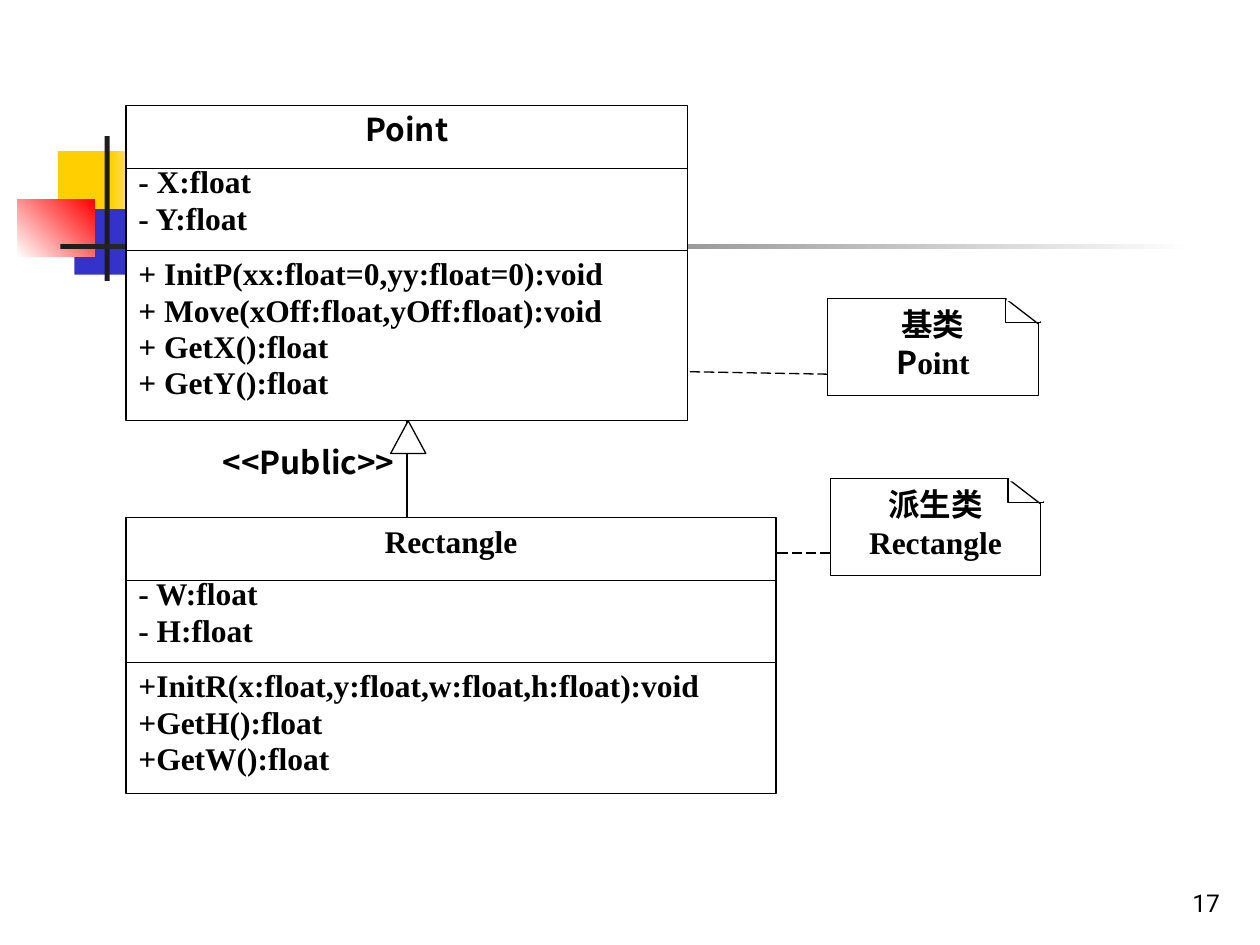
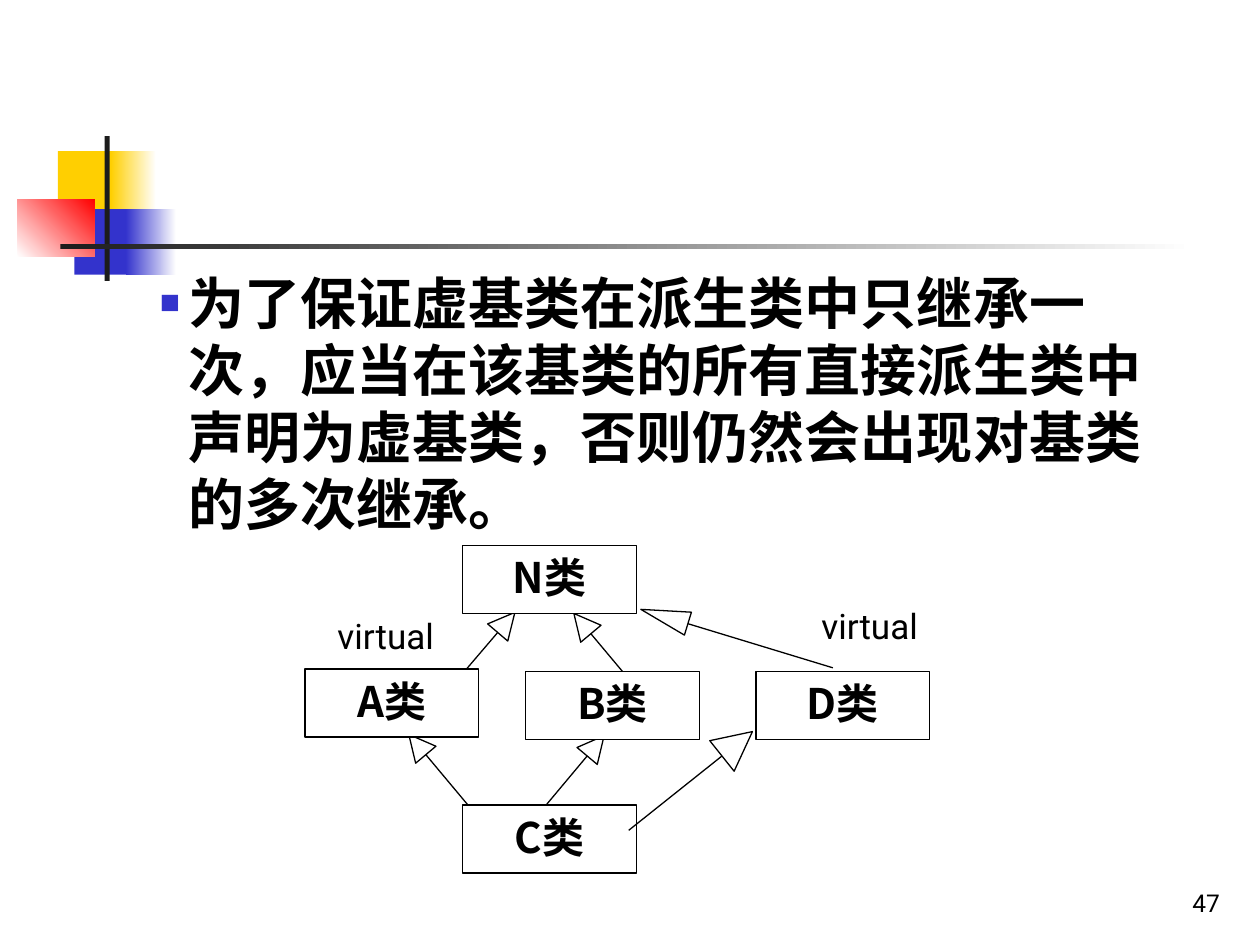
"""Build two slides on class inheritance: a UML diagram and virtual base classes."""
import math

from lxml import etree
from pptx import Presentation
from pptx import util as u
from pptx.dml.color import RGBColor
from pptx.enum import dml, shapes, text
from pptx.oxml.ns import qn

BLACK = RGBColor(0x00, 0x00, 0x00)
WHITE = RGBColor(0xFF, 0xFF, 0xFF)
YELLOW = RGBColor(0xFF, 0xCF, 0x01)
BLUE = RGBColor(0x33, 0x33, 0xCC)
RED = RGBColor(0xFF, 0x00, 0x00)
CHARCOAL = RGBColor(0x1C, 0x1C, 0x1C)
HEI, ROBOTO, TIMES = "Noto Sans CJK SC", "Roboto", "Times New Roman"
ALIGN = text.PP_ALIGN
RECT = shapes.MSO_SHAPE.RECTANGLE
TRIANGLE = shapes.MSO_SHAPE.ISOSCELES_TRIANGLE


def write(shape, lines, size=18, font=HEI, bold=True, align=ALIGN.LEFT,
          spacing=None, anchor=text.MSO_ANCHOR.TOP, inset=0.05):
    """Fill a shape with paragraphs; a line is a string or a list of (words, font)."""
    frame = shape.text_frame
    frame.word_wrap = True
    frame.vertical_anchor = anchor
    frame.margin_left = frame.margin_right = u.Inches(0.1)
    frame.margin_top = frame.margin_bottom = u.Inches(inset)
    for index, line in enumerate(lines):
        para = frame.paragraphs[0] if index == 0 else frame.add_paragraph()
        para.alignment = align
        if spacing:
            para.line_spacing = spacing
        for words, face in [(line, font)] if isinstance(line, str) else line:
            span = para.add_run()
            span.text = words
            span.font.name = face
            span.font.size = u.Pt(size)
            span.font.bold = bold
            span.font.color.rgb = BLACK
            east = etree.SubElement(span.font._element, qn("a:ea"))
            east.set("typeface", HEI if face == TIMES else face)
    return frame


class Sketch:
    """Hold the deck, its style and the current page."""

    def __init__(self):
        """Start an empty 10 by 7.5 inch deck."""
        self.deck = Presentation()
        self.deck.slide_width, self.deck.slide_height = u.Inches(10), u.Inches(7.5)
        self.page = None

    def new_page(self, number):
        """Add a page with the shared ornament and its number."""
        self.page = self.deck.slides.add_slide(self.deck.slide_layouts[6])
        self.block(0.46, 1.2, 0.48, 0.52, YELLOW)
        self.block(0.88, 1.2, 0.36, 0.52, YELLOW, WHITE)
        self.block(0.59, 1.66, 0.46, 0.52, BLUE)
        self.block(1, 1.66, 0.4, 0.52, BLUE, WHITE)
        self.block(0.14, 1.58, 0.61, 0.46, WHITE, RED, angle=45)
        self.block(0.83, 1.08, 0.04, 1.15, CHARCOAL)
        self.block(0.48, 1.94, 9, 0.04, CHARCOAL, WHITE)
        self.label(7.7, 6.83, 2.08, 0.5, [str(number)], size=14, font=ROBOTO,
                   bold=False, align=ALIGN.RIGHT, anchor=text.MSO_ANCHOR.BOTTOM)

    def block(self, left, top, width, height, color, fade=None, angle=0):
        """Draw a borderless rectangle, plain or fading to a second colour."""
        box = self.page.shapes.add_shape(RECT, *map(u.Inches, (left, top, width, height)))
        box.shadow.inherit = False
        box.line.fill.background()
        if fade is None:
            box.fill.solid()
            box.fill.fore_color.rgb = color
            return
        box.fill.gradient()
        box.fill.gradient_angle = angle
        for stop, shade, place in zip(box.fill.gradient_stops, (color, fade), (0, 1)):
            stop.color.rgb = shade
            stop.position = place

    def box(self, left, top, width, height, kind=RECT):
        """Draw a white preset shape with a thin black border."""
        box = self.page.shapes.add_shape(kind, *map(u.Inches, (left, top, width, height)))
        box.shadow.inherit = False
        box.fill.solid()
        box.fill.fore_color.rgb = WHITE
        box.line.color.rgb = BLACK
        box.line.width = u.Pt(0.75)
        return box

    def label(self, left, top, width, height, lines, **style):
        """Place a text box and return its frame."""
        box = self.page.shapes.add_textbox(*map(u.Inches, (left, top, width, height)))
        return write(box, lines, **style)

    def line(self, x1, y1, x2, y2, dashed=False):
        """Draw a thin straight connector."""
        link = self.page.shapes.add_connector(
            shapes.MSO_CONNECTOR.STRAIGHT, *map(u.Inches, (x1, y1, x2, y2)))
        link.line.color.rgb = BLACK
        link.line.width = u.Pt(0.75)
        if dashed:
            link.line.dash_style = dml.MSO_LINE.LONG_DASH
        etree.SubElement(link._element.spPr, qn("a:effectLst"))
        return link

    def class_box(self, top, width, name, name_font, fields, methods, height):
        """Draw a UML class with name, field and method compartments."""
        left = 1
        frame = self.box(left, top, width, height)
        for offset in (0.5, 1.15):
            self.line(left, top + offset, left + width, top + offset)
        self.label(left, top + 0.05, width, 0.39, [name], font=name_font,
                   align=ALIGN.CENTER, spacing=0.96, inset=0)
        for offset, tall, lines in ((0.42, 0.77, fields), (1.15, height - 1.15, methods)):
            self.label(left, top + offset, width, tall, lines, font=TIMES,
                       align=ALIGN.JUSTIFY, spacing=0.96)
        return frame

    def note(self, left, top, lines):
        """Draw a note with a folded top right corner."""
        fold = left + 1.41
        self.box(left, top, 1.67, 0.77)
        self.label(left, top, 1.67, 0.77, lines, align=ALIGN.CENTER)
        self.box(fold, top, 0.28, 0.19)
        self.line(fold, top, fold + 0.26, top + 0.2)
        self.block(fold + 0.25, top - 0.21, 0.34, 0.39, WHITE)
        self.block(fold + 0.01, top - 0.2, 0.56, 0.22, WHITE)

    def arrow(self, tail, neck, width=0.21, length=0.21):
        """Draw a line from tail to neck with a hollow triangle beyond the neck."""
        heading = math.atan2(neck[0] - tail[0], tail[1] - neck[1])
        center_x = neck[0] + math.sin(heading) * length / 2
        center_y = neck[1] - math.cos(heading) * length / 2
        head = self.box(center_x - width / 2, center_y - length / 2, width, length, TRIANGLE)
        head.rotation = math.degrees(heading) % 360
        self.line(*neck, *tail)


def class_diagram(sketch):
    """Draw Rectangle deriving publicly from Point."""
    sketch.new_page(17)
    base = sketch.class_box(
        0.84, 4.46, "Point", HEI, ["- X:float", "- Y:float"],
        ["+ InitP(xx:float=0,yy:float=0):void", "+ Move(xOff:float,yOff:float):void",
         "+ GetX():float", "+ GetY():float"], 2.5)
    sketch.class_box(
        4.11, 5.16, "Rectangle", TIMES, ["- W:float", "- H:float"],
        ["+InitR(x:float,y:float,w:float,h:float):void", "+GetH():float",
         "+GetW():float"], 2.19)
    sketch.line(3.23, 3.34, 3.23, 4.11).begin_connect(base, 2)
    sketch.box(3.1, 3.34, 0.28, 0.26, TRIANGLE)
    sketch.label(1.4, 3.47, 1.83, 0.58, ["<<Public>>"], align=ALIGN.RIGHT)
    sketch.line(6.57, 2.97, 5.46, 2.95, dashed=True)
    sketch.line(6.59, 4.39, 6.16, 4.39, dashed=True)
    sketch.note(6.59, 3.8, ["派生类", [("Rectangle", TIMES)]])
    sketch.note(6.57, 2.37, ["基类", [("P", HEI), ("oint", TIMES)]])


def virtual_bases(sketch):
    """Explain virtual base classes with a small inheritance graph."""
    sketch.new_page(47)
    for tail, neck in (((3.54, 5.5), (3.95, 5.02)), ((5.1, 5.52), (4.69, 5.03)),
                       ((3.79, 6.48), (3.38, 5.99)), ((4.25, 6.49), (4.66, 6))):
        sketch.arrow(tail, neck)
    for name, left, top in (("N", 3.67, 4.33), ("A", 2.42, 5.31), ("B", 4.17, 5.33),
                            ("C", 3.67, 6.39), ("D", 6, 5.33)):
        write(sketch.box(left, top, 1.38, 0.54), [name + "类"], size=24, align=ALIGN.CENTER)
    sketch.arrow((6.61, 5.3), (5.46, 4.95), width=0.19, length=0.39)
    sketch.arrow((4.99, 6.59), (5.73, 6), width=0.31, length=0.31)
    for left, top in ((2.58, 4.83), (6.42, 4.75)):
        sketch.label(left, top, 1.08, 0.44, ["virtual"], size=20, font=ROBOTO, bold=False)
    frame = sketch.label(1.17, 2.08, 8, 2.24, [
        "为了保证虚基类在派生类中只继承一次，应当在该基类的所有直接派生类中"
        "声明为虚基类，否则仍然会出现对基类的多次继承。"], size=32)
    settings = frame.paragraphs[0]._p.get_or_add_pPr()
    settings.set("marL", str(u.Inches(0.23)))
    settings.set("indent", str(-u.Inches(0.23)))
    settings.set("hangingPunct", "0")
    color = etree.SubElement(settings, qn("a:buClr"))
    etree.SubElement(color, qn("a:srgbClr")).set("val", str(BLUE))
    etree.SubElement(settings, qn("a:buSzPct")).set("val", "60000")
    etree.SubElement(settings, qn("a:buFont")).set("typeface", TIMES)
    etree.SubElement(settings, qn("a:buChar")).set("char", "■")


def main():
    """Build and save the deck."""
    sketch = Sketch()
    class_diagram(sketch)
    virtual_bases(sketch)
    sketch.deck.save("out.pptx")


if __name__ == "__main__":
    main()
